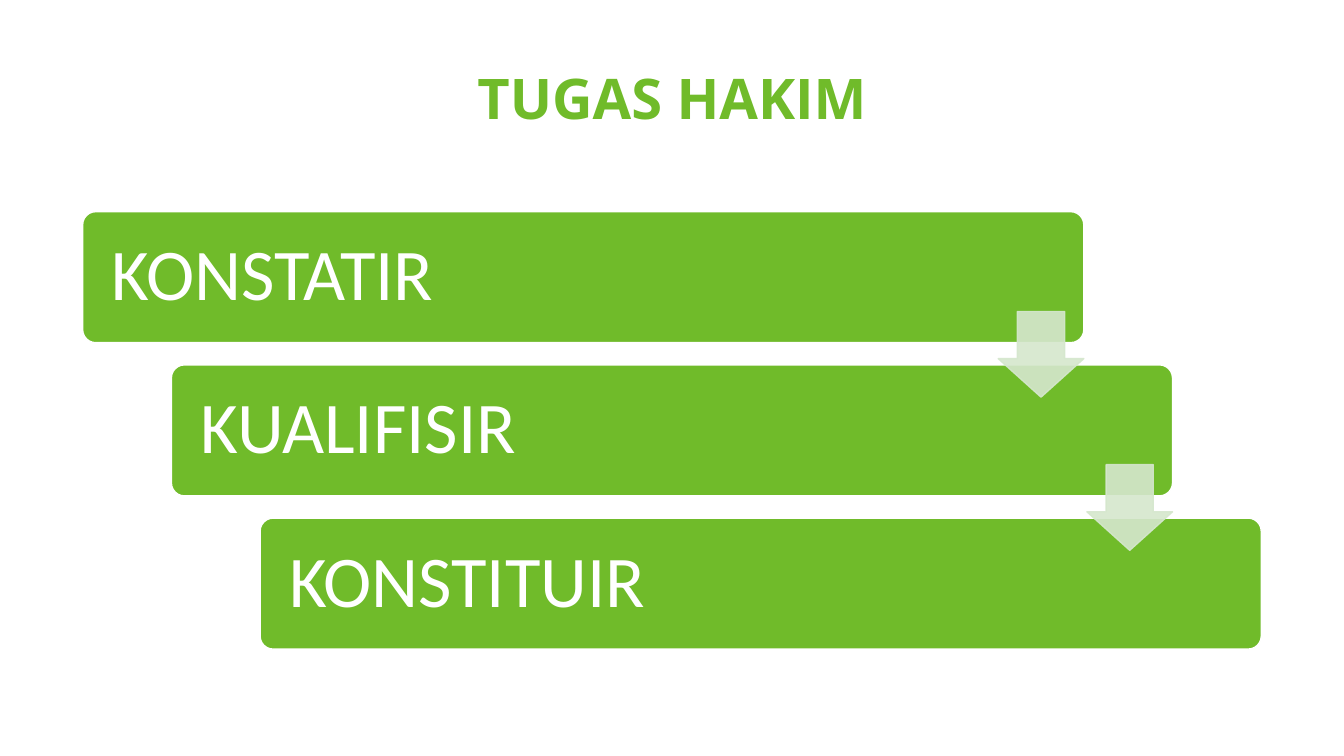
import pptx
import pptx.util
import pptx.dml.color
import pptx.enum.shapes
import pptx.enum.text
import pptx.oxml.ns
import lxml.etree

WIDE, HIGH = 13.33, 7.5
LEFT, TOP = 0.82, 2.1
COL, ROW = 0.88, 1.52
BAR_WIDE, BAR_HIGH = 9.93, 1.3
HEAD = 0.85
COLORS = {"green": "70BB2A", "pale": "D5E7CD", "white": "FFFFFF"}
TASKS = ["KONSTATIR", "KUALIFISIR", "KONSTITUIR"]
KINDS = pptx.enum.shapes.MSO_SHAPE
ALIGN = pptx.enum.text.PP_ALIGN


def color(name):
    return pptx.dml.color.RGBColor.from_string(COLORS[name])


def lengths(*values):
    return [pptx.util.Inches(value) for value in values]


def write(frame, text, font, size, tint, align, bold=False):
    para = frame.paragraphs[0]
    para.alignment = align
    para.line_spacing = 0.9
    run = para.add_run()
    run.text = text
    run.font.name = font
    run.font.size = pptx.util.Pt(size)
    run.font.bold = bold
    run.font.color.rgb = color(tint)


def inset(frame, side):
    frame.margin_left = frame.margin_right = pptx.util.Inches(side)
    frame.margin_top = frame.margin_bottom = 0
    frame.word_wrap = True


def add_form(slide, kind, box, fill, line, adjust):
    form = slide.shapes.add_shape(kind, *lengths(*box))
    form.shadow.inherit = False
    form.fill.solid()
    form.fill.fore_color.rgb = color(fill)
    form.line.color.rgb = color(line)
    form.line.width = pptx.util.Pt(1)
    for index, value in enumerate(adjust):
        form.adjustments[index] = value
    return form


def add_title(slide, text):
    wide = 4.92
    box = lengths((WIDE - wide) / 2, 0.71, wide, 0.67)
    frame = slide.shapes.add_textbox(*box).text_frame
    inset(frame, 0)
    write(frame, text, "Open Sans", 40, "green", ALIGN.CENTER, True)


def add_bar(slide, step, text):
    box = (LEFT + step * COL, TOP + step * ROW, BAR_WIDE, BAR_HIGH)
    bar = add_form(slide, KINDS.ROUNDED_RECTANGLE, box, "green", "white", [0.1])
    inset(bar.text_frame, 0.25)
    bar.text_frame.vertical_anchor = pptx.enum.text.MSO_ANCHOR.MIDDLE
    write(bar.text_frame, text, "Calibri", 52, "white", ALIGN.LEFT)


def add_arrow(slide, step):
    left = LEFT + BAR_WIDE - HEAD + step * COL
    box = (left, 3.09 + step * ROW, HEAD, HEAD)
    arrow = add_form(slide, KINDS.DOWN_ARROW, box, "pale", "pale", [0.55, 0.45])
    qn = pptx.oxml.ns.qn
    for tint in arrow.element.spPr.iter(qn("a:srgbClr")):
        lxml.etree.SubElement(tint, qn("a:alpha")).set("val", "90000")


def main():
    deck = pptx.Presentation()
    deck.slide_width, deck.slide_height = lengths(WIDE, HIGH)
    slide = deck.slides.add_slide(deck.slide_layouts[6])
    add_title(slide, "TUGAS HAKIM")
    for step, task in enumerate(TASKS):
        add_bar(slide, step, task)
    for step in range(len(TASKS) - 1):
        add_arrow(slide, step)
    deck.save("out.pptx")


if __name__ == "__main__":
    main()
